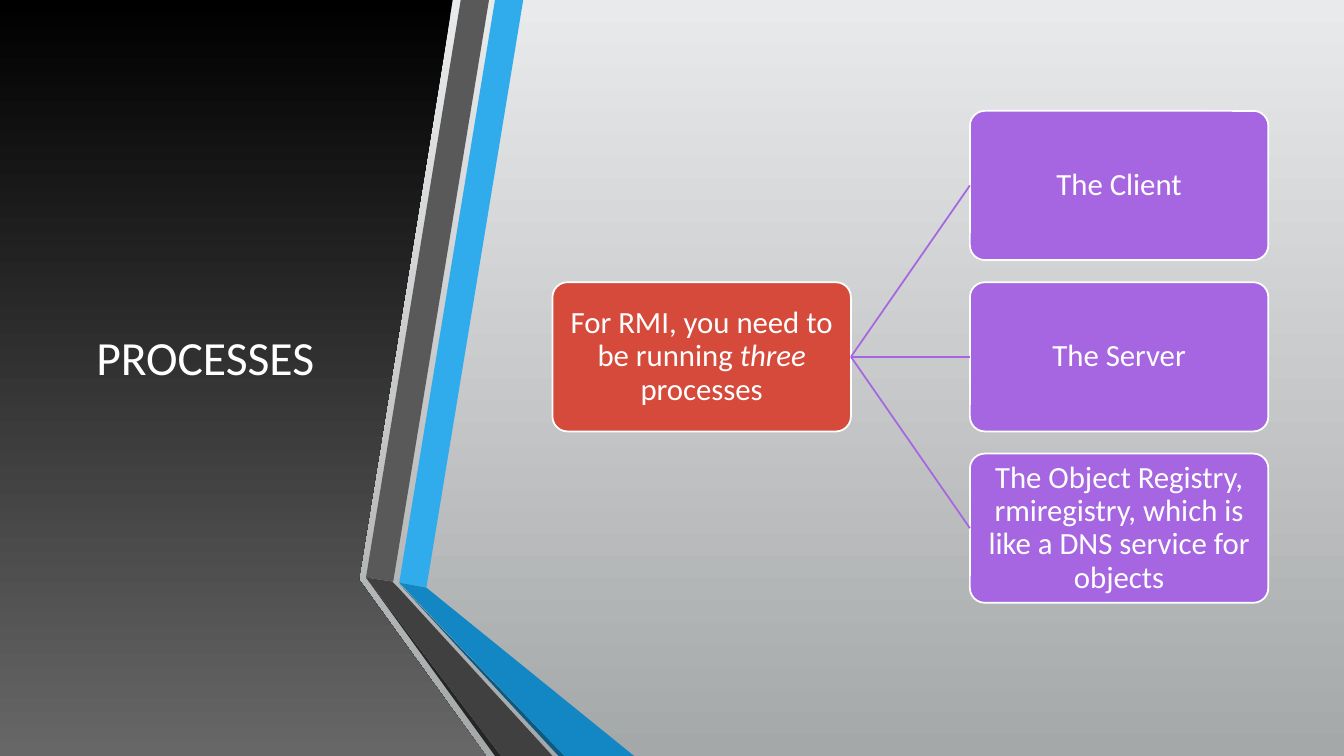
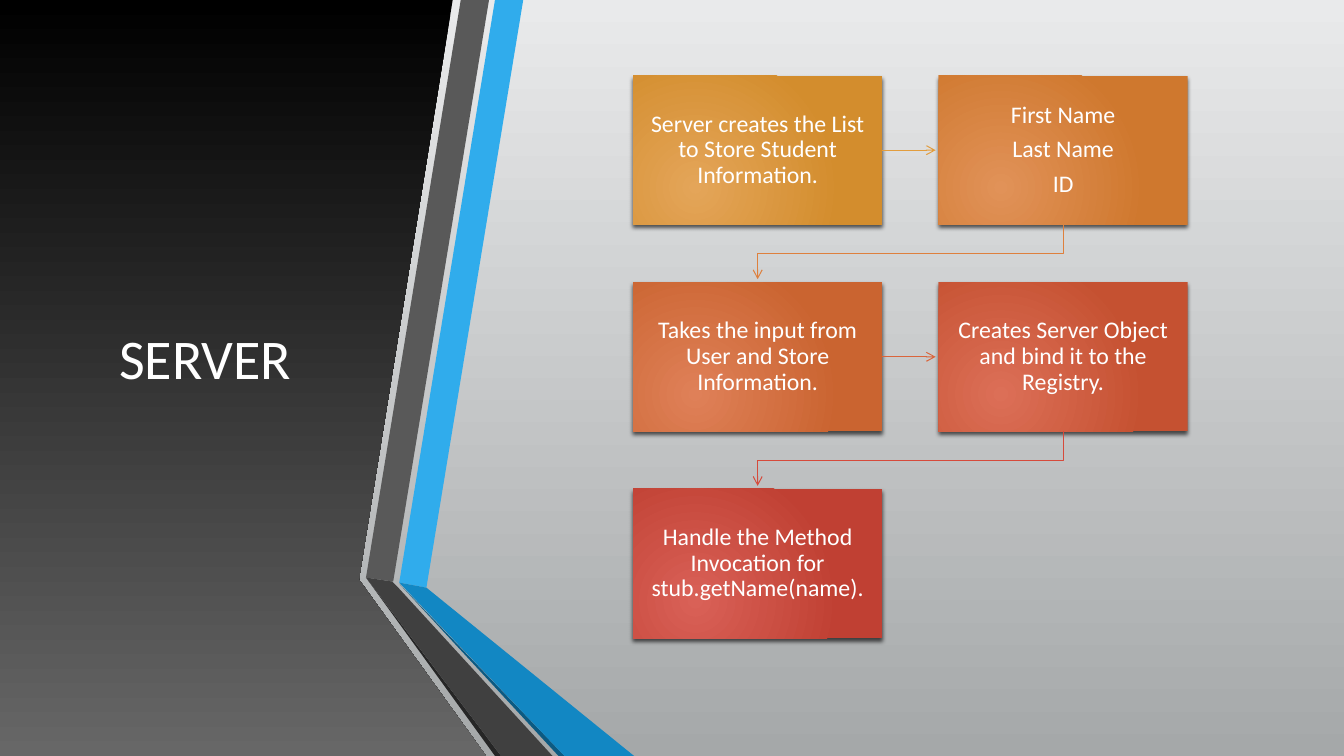
from lxml.etree import SubElement
from pptx import Presentation
from pptx.dml.color import RGBColor
from pptx.enum.shapes import MSO_CONNECTOR, MSO_SHAPE
from pptx.enum.text import MSO_ANCHOR, PP_ALIGN
from pptx.oxml.ns import qn
from pptx.util import Inches, Pt

FONT = "Calibri"
WHITE = "FFFFFF"
BACKDROP = ("E9EAEB", "A5A8A9")
PANEL = ("000000", "676767")
PANEL_OUTLINE = [(0, 0), (4.49, 0), (3.56, 5.75), (4.82, 7.5), (0, 7.5)]
RIBBONS = [
    ("30ACEC", [(3.96, 5.78), (4.23, 5.83), (5.19, 0), (4.91, 0)]),
    ("595959", [(4.85, 0), (4.57, 0), (3.63, 5.73), (3.9, 5.77)]),
    ("262626", [(3.63, 5.73), (4.91, 7.5), (4.97, 7.5)]),
    ("0C5A82", [(3.96, 5.79), (5.54, 7.5), (5.6, 7.5)]),
    ("1287C3", [(3.96, 5.78), (5.6, 7.5), (6.29, 7.5), (4.23, 5.83)]),
    ("404040", [(5.48, 7.5), (3.95, 5.83), (3.89, 5.77), (3.63, 5.73), (4.97, 7.5)]),
]

ROOT = [[("For RMI, you need to be running ", False), ("three", True), (" processes", False)]]
BRANCHES = [
    "The Client",
    "The Server",
    "The Object Registry, rmiregistry, which is like a DNS service for objects",
]
ROOT_RED, BRANCH_PURPLE = "D64A3B", "A666E1"
TREE_LEFT, TREE_TOP, TREE_STEP_X, TREE_STEP_Y = 5.48, 1.1, 4.14, 1.7
TREE_BOX = (2.96, 1.48)

STEPS = [
    (["Server creates the List to Store Student Information."], "E4A559", "D38D2D"),
    (["First Name", "Last Name", "ID"], "E19258", "CF782E"),
    (["Takes the input from User and Store Information."], "DF8058", "CA6430"),
    (["Creates Server Object and bind it to the Registry."], "DC6F57", "C55131"),
    (["Handle the Method Invocation for stub.getName(name)."], "D96157", "C04033"),
]
ARROWS = ["E29D3E", "DE803D", "DA653C", "D64A3B"]
FLOW_LEFT, FLOW_TOP, FLOW_STEP_X, FLOW_STEP_Y = 6.28, 0.75, 3.03, 2.05
FLOW_BOX = (2.47, 1.48)
FLOW_COLUMNS = 2
ARROW_GAP = 0.03


def color(value):
    return RGBColor.from_string(value)


def paint(fill, value):
    fill.solid()
    fill.fore_color.rgb = color(value)


def gradient(fill, colors):
    fill.gradient()
    fill.gradient_angle = 270
    for stop, value in zip(fill.gradient_stops, colors):
        stop.color.rgb = color(value)


def outline(line, value, width):
    paint(line.fill, value)
    line.width = Pt(width)


def add_path(page, points, close):
    corners = [(Inches(x), Inches(y)) for x, y in points]
    builder = page.shapes.build_freeform(*corners[0])
    builder.add_line_segments(corners[1:], close=close)
    shape = builder.convert_to_shape()
    shape.shadow.inherit = False
    return shape


def add_arrowhead(shape):
    SubElement(shape.element.spPr.find(qn("a:ln")), qn("a:tailEnd"), type="arrow")


def add_line(page, x1, y1, x2, y2, value, width):
    line = page.shapes.add_connector(MSO_CONNECTOR.STRAIGHT, *map(Inches, (x1, y1, x2, y2)))
    outline(line.line, value, width)
    SubElement(line.element.spPr, qn("a:effectLst"))
    return line


def style(para, size):
    para.alignment = PP_ALIGN.CENTER
    para.font.name = FONT
    para.font.size = Pt(size)
    para.font.color.rgb = color(WHITE)


def add_box(page, preset, left, top, extent, paragraphs, size, margins):
    box = page.shapes.add_shape(preset, *map(Inches, (left, top, *extent)))
    box.shadow.inherit = False
    frame = box.text_frame
    frame.word_wrap = True
    frame.vertical_anchor = MSO_ANCHOR.MIDDLE
    frame.margin_left = frame.margin_right = Inches(margins[0])
    frame.margin_top = frame.margin_bottom = Inches(margins[1])
    for index, spans in enumerate(paragraphs):
        para = frame.add_paragraph() if index else frame.paragraphs[0]
        style(para, size)
        para.line_spacing = 0.9
        para.space_after = Pt(round(size * 0.35))
        for text, italic in spans:
            span = para.add_run()
            span.text = text
            if italic:
                span.font.italic = True
    return box


def plain(texts):
    return [[(text, False)] for text in texts]


def build_layout(layout, page):
    gradient(layout.background.fill, BACKDROP)
    panel = add_path(page, PANEL_OUTLINE, True)
    gradient(panel.fill, PANEL)
    parts = [panel]
    for value, points in RIBBONS:
        ribbon = add_path(page, points, True)
        paint(ribbon.fill, value)
        parts.append(ribbon)
    for index, part in enumerate(parts):
        part.line.fill.background()
        part.element.nvSpPr.cNvPr.set("id", str(100 + index))
        layout.shapes.element.insert(2 + index, part.element)
    title = layout.placeholders[0]
    title.left, title.top, title.width, title.height = map(Inches, (0.59, 0.75, 2.89, 5.58))


def set_title(page, text, size):
    title = page.shapes.title
    title.text_frame.text = text
    title.text_frame.vertical_anchor = MSO_ANCHOR.MIDDLE
    style(title.text_frame.paragraphs[0], size)


def add_tree_box(page, column, row, paragraphs, value):
    left, top = TREE_LEFT + column * TREE_STEP_X, TREE_TOP + row * TREE_STEP_Y
    box = add_box(page, MSO_SHAPE.ROUNDED_RECTANGLE, left, top, TREE_BOX, paragraphs, 22, (0.02, 0.02))
    box.adjustments[0] = 0.1
    paint(box.fill, value)
    outline(box.line, WHITE, 1.25)
    return box


def build_processes(page):
    set_title(page, "PROCESSES", 34)
    root = add_tree_box(page, 0, 1, ROOT, ROOT_RED)
    for row, text in enumerate(BRANCHES):
        branch = add_tree_box(page, 1, row, plain([text]), BRANCH_PURPLE)
        line = add_line(page, 0, 0, 1, 1, BRANCH_PURPLE, 1.25)
        line.begin_connect(root, 3)
        line.end_connect(branch, 1)


def glow(box, colors):
    gradient(box.fill, colors)
    fill = box.element.spPr.find(qn("a:gradFill"))
    fill.remove(fill.find(qn("a:lin")))
    center = SubElement(fill, qn("a:path"), path="circle")
    SubElement(center, qn("a:fillToRect"), l="50000", t="100000", r="100000", b="50000")
    effects = box.element.spPr.find(qn("a:effectLst"))
    shadow = SubElement(effects, qn("a:outerShdw"), blurRad=str(Pt(3)), dist=str(Pt(2)),
                        dir="5400000", algn="ctr", rotWithShape="0")
    black = SubElement(shadow, qn("a:srgbClr"), val="000000")
    SubElement(black, qn("a:alpha"), val="64000")


def build_server(page):
    set_title(page, "SERVER", 40)
    width, height = FLOW_BOX
    spots, boxes = [], []
    for index, (texts, *colors) in enumerate(STEPS):
        row, column = divmod(index, FLOW_COLUMNS)
        left, top = FLOW_LEFT + column * FLOW_STEP_X, FLOW_TOP + row * FLOW_STEP_Y
        box = add_box(page, MSO_SHAPE.RECTANGLE, left, top, FLOW_BOX, plain(texts), 17, (0.12, 0.13))
        glow(box, colors)
        box.line.fill.background()
        spots.append((left, top))
        boxes.append(box)
    for index, value in enumerate(ARROWS):
        (left, top), (next_left, next_top) = spots[index:index + 2]
        if top == next_top:
            middle = top + height / 2
            arrow = add_line(page, left + width, middle, next_left - ARROW_GAP, middle, value, 0.75)
            arrow.begin_connect(boxes[index], 3)
        else:
            start, end = left + width / 2, next_left + width / 2
            bottom = top + height
            bend = (bottom + next_top) / 2
            points = [(start, bottom), (start, bend), (end, bend), (end, next_top - ARROW_GAP)]
            arrow = add_path(page, points, False)
            arrow.fill.background()
            outline(arrow.line, value, 0.75)
        add_arrowhead(arrow)


def main():
    deck = Presentation()
    deck.slide_width, deck.slide_height = Inches(13.33), Inches(7.5)
    layout = deck.slide_layouts[5]
    pages = [deck.slides.add_slide(layout) for _ in range(2)]
    build_layout(layout, pages[0])
    build_processes(pages[0])
    build_server(pages[1])
    deck.save("out.pptx")


if __name__ == "__main__":
    main()
